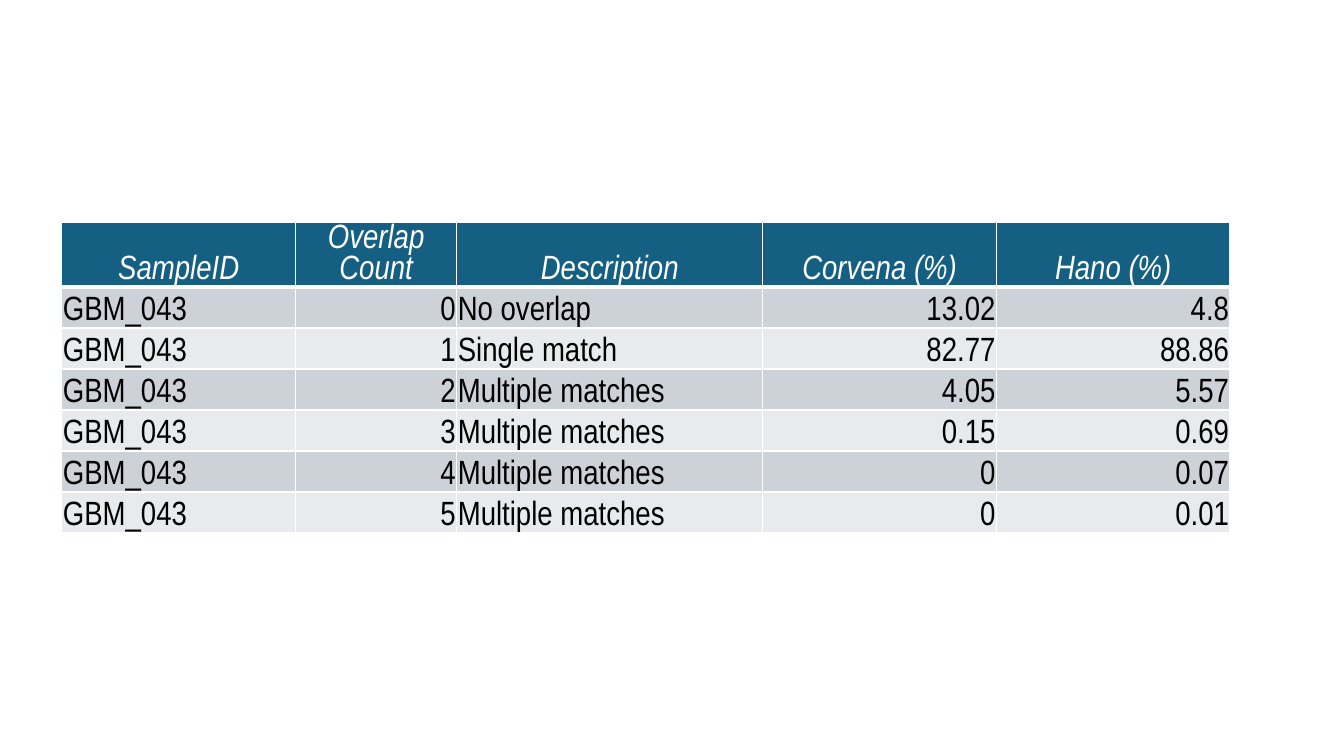
from dataclasses import dataclass

from lxml import etree
from pptx import Presentation
from pptx.dml.color import RGBColor
from pptx.enum.text import MSO_ANCHOR, PP_ALIGN
from pptx.oxml.ns import qn
from pptx.util import Pt

LEFT, CENTER, RIGHT = PP_ALIGN.LEFT, PP_ALIGN.CENTER, PP_ALIGN.RIGHT
BOTTOM = MSO_ANCHOR.BOTTOM


@dataclass(frozen=True)
class Theme:
    font: str = "Arial Narrow"
    text_size: float = 24
    header_fill: str = "156082"
    header_text: str = "FFFFFF"
    body_text: str = "000000"
    bands: tuple = ("CCD2D8", "E8EAED")
    border: str = "FFFFFF"
    thin: float = 1
    thick: float = 3
    inset: float = 0.75


HEADINGS = ["SampleID", "Overlap Count", "Description", "Corvena (%)", "Hano (%)"]
COLUMN_WIDTHS = [166.9, 115.2, 218.6, 166.9, 166.9]
COLUMN_ALIGNS = [LEFT, RIGHT, LEFT, RIGHT, RIGHT]
ROW_HEIGHT = 29.3
SAMPLE = "GBM_043"
OVERLAPS = [
    ("No overlap", "13.02", "4.8"),
    ("Single match", "82.77", "88.86"),
    ("Multiple matches", "4.05", "5.57"),
    ("Multiple matches", "0.15", "0.69"),
    ("Multiple matches", "0", "0.07"),
    ("Multiple matches", "0", "0.01"),
]


class SlideBuilder:
    def __init__(self, slide, theme):
        self.slide = slide
        self.theme = theme

    def borders(self, cell, top, bottom):
        """Draw all four cell edges; call before setting the cell's fill."""
        properties = cell._tc.get_or_add_tcPr()
        thin = self.theme.thin
        for edge, width in (("L", thin), ("R", thin), ("T", top), ("B", bottom)):
            line = etree.SubElement(properties, qn(f"a:ln{edge}"), w=str(Pt(width)))
            solid = etree.SubElement(line, qn("a:solidFill"))
            etree.SubElement(solid, qn("a:srgbClr"), val=self.theme.border)

    def cell(self, cell, text, align, fill, color, italic):
        cell.vertical_anchor = BOTTOM
        cell.margin_left = cell.margin_right = cell.margin_top = Pt(self.theme.inset)
        cell.margin_bottom = 0
        cell.fill.solid()
        cell.fill.fore_color.rgb = RGBColor.from_string(fill)
        paragraph = cell.text_frame.paragraphs[0]
        paragraph.alignment = align
        run = paragraph.add_run()
        run.text = text
        run.font.name = self.theme.font
        run.font.size = Pt(self.theme.text_size)
        run.font.bold = False
        run.font.italic = italic
        run.font.color.rgb = RGBColor.from_string(color)

    def table(self, left, top, height, widths, row_height, headings, rows, aligns):
        theme = self.theme
        frame = self.slide.shapes.add_table(
            len(rows) + 1, len(headings), Pt(left), Pt(top), Pt(sum(widths)), Pt(height))
        table = frame.table
        for column, width in zip(table.columns, widths):
            column.width = Pt(width)
        for row in table.rows:
            row.height = Pt(row_height)
        frame.height = Pt(height)

        for column, heading in enumerate(headings):
            cell = table.cell(0, column)
            self.borders(cell, theme.thin, theme.thick)
            self.cell(cell, heading, CENTER, theme.header_fill, theme.header_text, True)
        for index, values in enumerate(rows):
            band = theme.bands[index % len(theme.bands)]
            top_width = theme.thin if index else theme.thick
            for column, (value, align) in enumerate(zip(values, aligns)):
                cell = table.cell(index + 1, column)
                self.borders(cell, top_width, theme.thin)
                self.cell(cell, value, align, band, theme.body_text, False)


def main():
    presentation = Presentation()
    presentation.slide_width, presentation.slide_height = Pt(960), Pt(540)
    slide = presentation.slides.add_slide(presentation.slide_layouts[6])
    rows = [(SAMPLE, str(count), *overlap) for count, overlap in enumerate(OVERLAPS)]
    SlideBuilder(slide, Theme()).table(
        44.2, 159.1, 235.4, COLUMN_WIDTHS, ROW_HEIGHT, HEADINGS, rows, COLUMN_ALIGNS)
    presentation.save("out.pptx")


if __name__ == "__main__":
    main()
